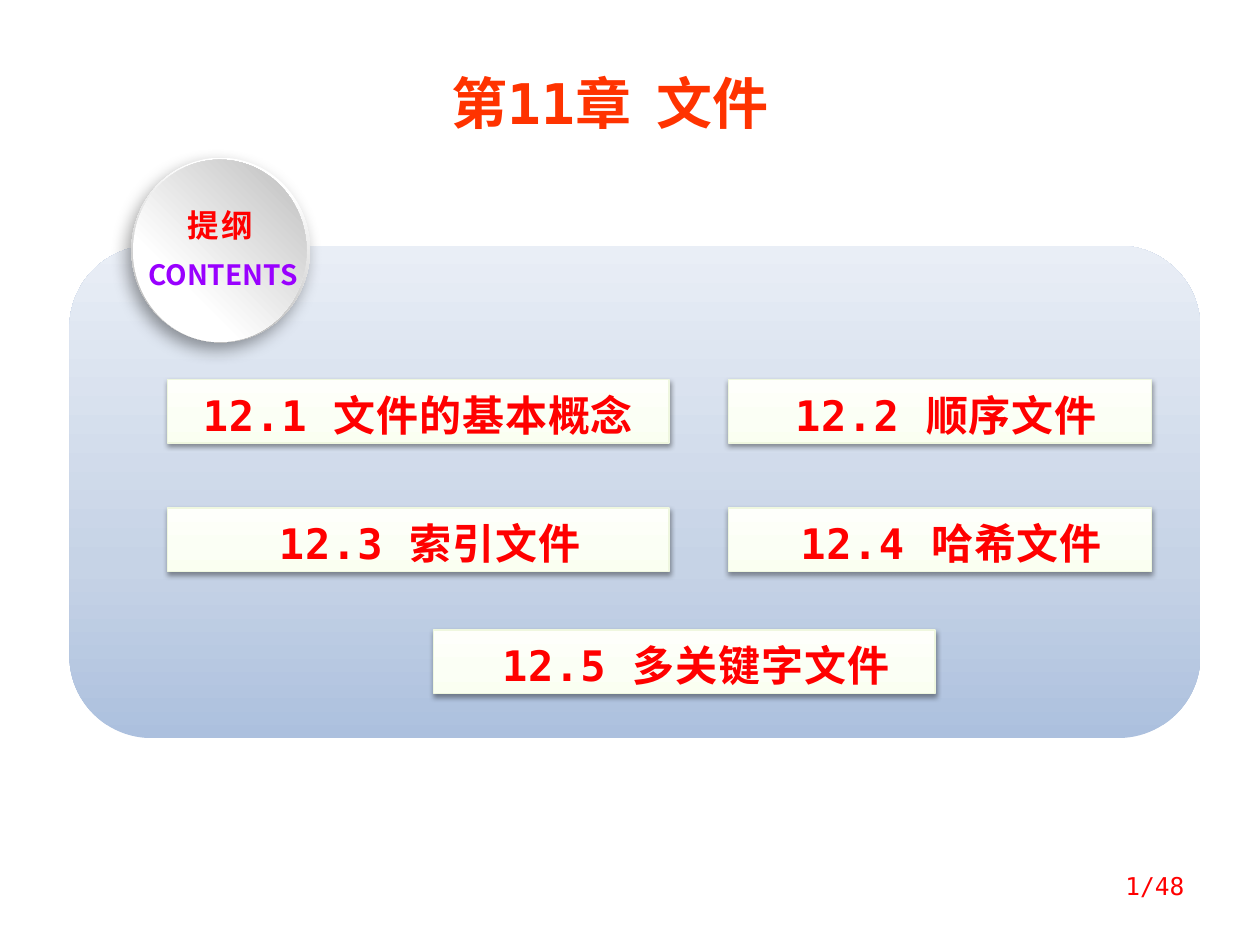
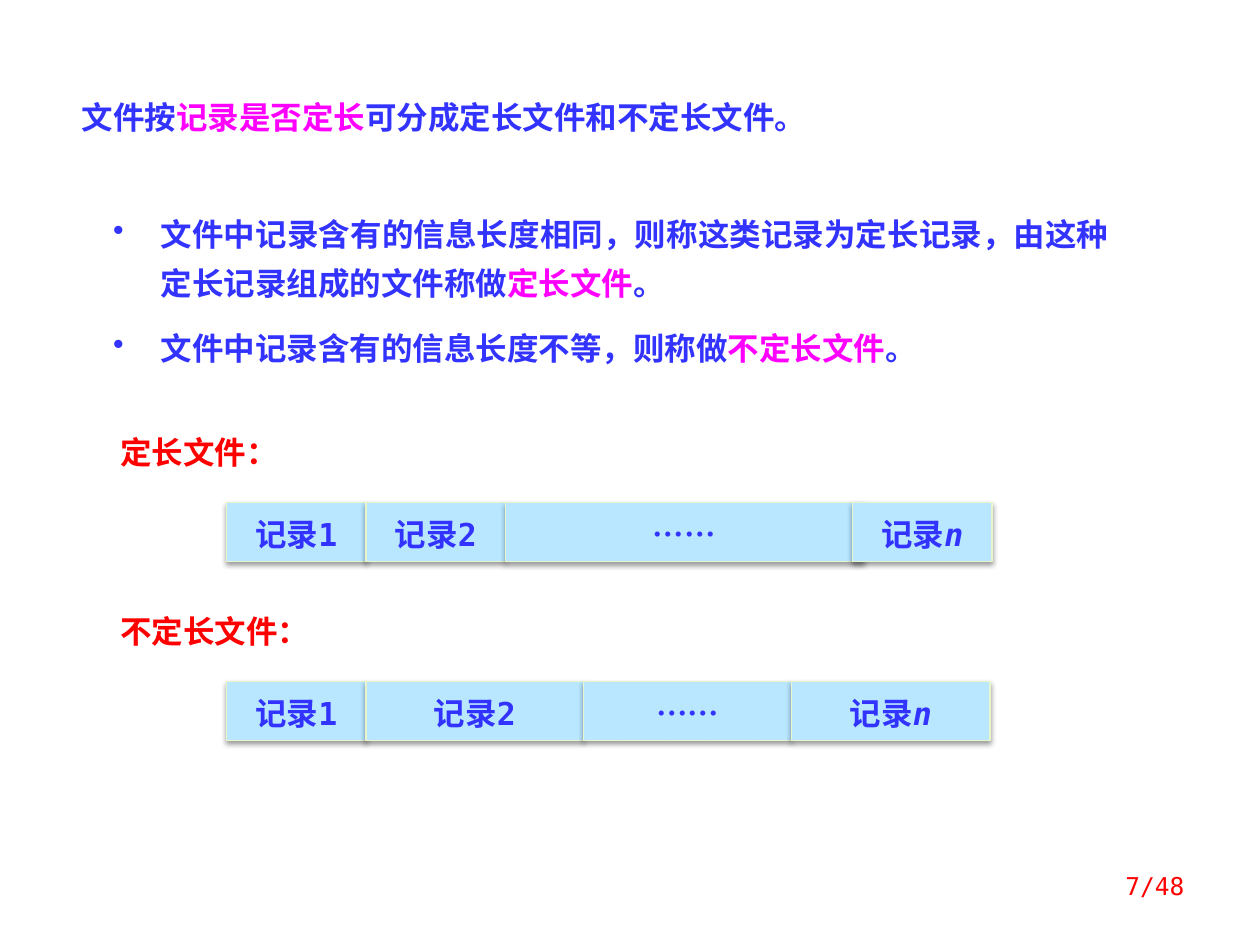
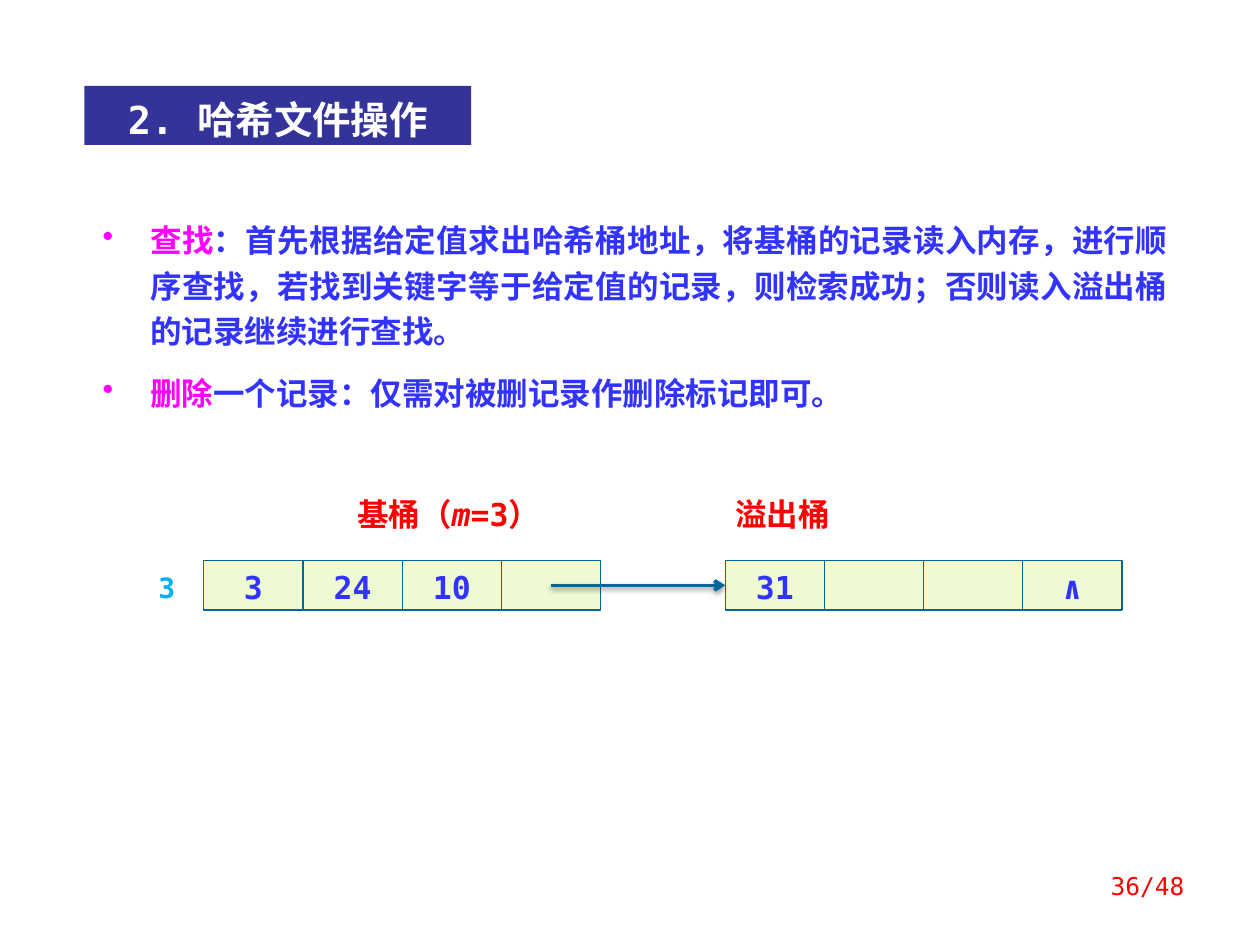
from dataclasses import dataclass
from typing import Optional

from pptx import Presentation
from pptx.dml.color import RGBColor
from pptx.enum.shapes import MSO_CONNECTOR, MSO_SHAPE
from pptx.enum.text import MSO_ANCHOR, MSO_AUTO_SIZE, PP_ALIGN
from pptx.oxml import parse_xml
from pptx.oxml.ns import nsdecls, qn
from pptx.util import Cm, Pt

# Shared colours and fonts
RED = RGBColor(0xFF, 0x00, 0x00)
ORANGE = RGBColor(0xFF, 0x33, 0x00)
BLUE = RGBColor(0x33, 0x33, 0xFF)
NAVY = RGBColor(0x33, 0x33, 0x99)
MAGENTA = RGBColor(0xFF, 0x00, 0xFF)
PURPLE = RGBColor(0x99, 0x00, 0xFF)
CYAN = RGBColor(0x00, 0xB0, 0xF0)
TEAL = RGBColor(0x00, 0x66, 0x99)
WHITE = RGBColor(0xFF, 0xFF, 0xFF)
BLACK = RGBColor(0x00, 0x00, 0x00)
RECORD_FILL = RGBColor(0xB8, 0xE7, 0xFF)
RECORD_LINE = RGBColor(0xE8, 0xF5, 0xCC)
BUCKET_FILL = RGBColor(0xED, 0xFA, 0xD2)
BAR_LINE = RGBColor(0xEF, 0xF7, 0xDF)
MONO = "DejaVu Sans Mono"
SANS = "Noto Sans CJK SC"
SANS_JP = "Noto Sans CJK JP"

TITLE_ONLY, BLANK = 5, 6
PAGE_COUNT = 48
LINE_FACTOR = 1.2
TOP_INSET = 0.2
SIDE_INSET = 0.25


@dataclass(frozen=True)
class Box:
    """Place of an element, in centimetres."""
    left: float
    top: float
    width: float
    height: float

    def lengths(self) -> tuple:
        return Cm(self.left), Cm(self.top), Cm(self.width), Cm(self.height)


@dataclass(frozen=True)
class Run:
    text: str
    color: RGBColor = BLUE
    size: float = 18
    font: str = MONO
    bold: bool = True
    italic: bool = False
    spacing: float = 0


@dataclass(frozen=True)
class Gradient:
    stops: tuple
    angle: int


@dataclass(frozen=True)
class Shadow:
    alpha: int = 38
    blur: float = 3.1
    distance: float = 1.6
    direction: int = 90


@dataclass(frozen=True)
class Style:
    fill: object = None
    line: Optional[RGBColor] = None
    shadow: Optional[Shadow] = None
    geometry: MSO_SHAPE = MSO_SHAPE.RECTANGLE


@dataclass(frozen=True)
class Cell:
    runs: tuple
    width: float
    overhang: float = 0


SOFT_SHADOW = Shadow()
PANEL = Style(Gradient(((0, "ACC0DE"), (35, "C6D3E6"), (100, "E9EEF6")), 270),
              geometry=MSO_SHAPE.ROUNDED_RECTANGLE)
BAR = Style(Gradient(((0, "FAFFF1"), (35, "FBFFF5"), (100, "FEFFFB")), 270),
            BAR_LINE, SOFT_SHADOW)
BADGE_RIM = Style(Gradient(((17, "FFFFFF"), (88, "B8B8B8")), 107),
                  shadow=Shadow(39, 10, 5, 123), geometry=MSO_SHAPE.OVAL)
BADGE_FACE = Style(Gradient(((29, "FFFFFF"), (98, "BFBFBF")), 315),
                   geometry=MSO_SHAPE.OVAL)
RECORD = Style(RECORD_FILL, RECORD_LINE, SOFT_SHADOW)
BUCKET = Style(BUCKET_FILL, TEAL)


# Fills and shadows
def paint(shape, fill) -> None:
    if fill is None:
        shape.fill.background()
    elif isinstance(fill, Gradient):
        shape.fill.gradient()
        stops = "".join(
            f'<a:gs pos="{position * 1000}"><a:srgbClr val="{color}"/></a:gs>'
            for position, color in fill.stops)
        gradient = parse_xml(
            f'<a:gradFill {nsdecls("a")} rotWithShape="1"><a:gsLst>{stops}</a:gsLst>'
            f'<a:lin ang="{fill.angle * 60000}" scaled="0"/></a:gradFill>')
        properties = shape._element.spPr
        properties.replace(properties.find(qn("a:gradFill")), gradient)
    else:
        shape.fill.solid()
        shape.fill.fore_color.rgb = fill


def cast_shadow(effects, shadow: Shadow) -> None:
    effects.append(parse_xml(
        f'<a:outerShdw {nsdecls("a")} blurRad="{Pt(shadow.blur)}" '
        f'dist="{Pt(shadow.distance)}" dir="{shadow.direction * 60000}" '
        f'algn="ctr" rotWithShape="0"><a:srgbClr val="{BLACK}">'
        f'<a:alpha val="{shadow.alpha * 1000}"/></a:srgbClr></a:outerShdw>'))


# Text
def add_run(paragraph, content: Run) -> None:
    run = paragraph.add_run()
    run.text = content.text
    font = run.font
    font.size, font.bold, font.italic = Pt(content.size), content.bold, content.italic
    font.color.rgb = content.color
    font.name = content.font
    properties = run._r.get_or_add_rPr()
    east_asian = SANS if content.font == MONO else content.font
    properties.append(parse_xml(f'<a:ea {nsdecls("a")} typeface="{east_asian}"/>'))
    if content.spacing:
        properties.set("spc", str(int(content.spacing * 100)))


def prepare_frame(shape, anchor=MSO_ANCHOR.TOP, left: float = SIDE_INSET,
                  right: float = SIDE_INSET, top: float = TOP_INSET):
    frame = shape.text_frame
    frame.word_wrap = True
    frame.auto_size = MSO_AUTO_SIZE.NONE
    frame.vertical_anchor = anchor
    frame.margin_left, frame.margin_right = Cm(left), Cm(right)
    frame.margin_top, frame.margin_bottom = Cm(top), Cm(0.13)
    return frame


def write_line(paragraph, runs: tuple, align=PP_ALIGN.CENTER,
               factor: float = LINE_FACTOR) -> None:
    paragraph.alignment = align
    paragraph.line_spacing = Pt(round(runs[0].size * factor, 1))
    for content in runs:
        add_run(paragraph, content)


def add_text(slide, box: Box, *runs: Run, align=PP_ALIGN.CENTER) -> None:
    frame = prepare_frame(slide.shapes.add_textbox(*box.lengths()))
    write_line(frame.paragraphs[0], runs, align)


def add_bullets(slide, box: Box, items: tuple, line_points: float) -> None:
    shape = add_box(slide, box, Style(WHITE))
    frame = prepare_frame(shape, left=0.5, top=0.35)
    for index, runs in enumerate(items):
        paragraph = frame.add_paragraph() if index else frame.paragraphs[0]
        properties = paragraph._p.get_or_add_pPr()
        properties.set("marL", str(Cm(0.96)))
        properties.set("indent", str(-Cm(0.96)))
        properties.append(parse_xml(f'<a:buChar {nsdecls("a")} char="•"/>'))
        if index:
            paragraph.space_before = Pt(9)
        write_line(paragraph, runs, PP_ALIGN.JUSTIFY, line_points / 18)


# Shapes
def add_box(slide, box: Box, style: Style):
    shape = slide.shapes.add_shape(style.geometry, *box.lengths())
    paint(shape, style.fill)
    if style.line is None:
        shape.line.fill.background()
    else:
        shape.line.color.rgb = style.line
        shape.line.width = Pt(0.75)
    shape.shadow.inherit = False
    if style.shadow:
        cast_shadow(shape._element.spPr.find(qn("a:effectLst")), style.shadow)
    return shape


def add_cells(slide, left: float, top: float, height: float,
              cells: tuple, style: Style) -> None:
    """Draw cells side by side from the left."""
    for cell in cells:
        box = Box(left, top, cell.width + cell.overhang, height)
        shape = add_box(slide, box, style)
        if cell.runs:
            frame = prepare_frame(shape, MSO_ANCHOR.MIDDLE)
            write_line(frame.paragraphs[0], cell.runs)
        left += cell.width


def add_arrow(slide, left: float, right: float, height: float) -> None:
    arrow = slide.shapes.add_connector(
        MSO_CONNECTOR.STRAIGHT, Cm(left), Cm(height), Cm(right), Cm(height))
    arrow.line.color.rgb = TEAL
    arrow.line.width = Pt(2)
    properties = arrow._element.spPr
    properties.find(qn("a:ln")).append(
        parse_xml(f'<a:tailEnd {nsdecls("a")} type="arrow"/>'))
    effects = parse_xml(f'<a:effectLst {nsdecls("a")}/>')
    properties.append(effects)
    cast_shadow(effects, SOFT_SHADOW)


# Slide frame: title and page number
def set_title(slide, box: Box, fill: RGBColor, *runs: Run) -> None:
    title = slide.shapes.title
    title.left, title.top, title.width, title.height = box.lengths()
    paint(title, fill)
    frame = prepare_frame(title, left=0, right=0)
    write_line(frame.paragraphs[0], runs)


def new_slide(presentation, layout: int, page: int):
    slide = presentation.slides.add_slide(presentation.slide_layouts[layout])
    add_text(slide, Box(18.21, 17.35, 5.92, 1.27),
             Run(f"{page}/{PAGE_COUNT}", RED, 14, bold=False), align=PP_ALIGN.RIGHT)
    return slide


def build_contents(presentation) -> None:
    slide = new_slide(presentation, TITLE_ONLY, 1)
    set_title(slide, Box(8.53, 1.19, 7.54, 1.63), WHITE,
              Run("第11章", ORANGE, 32), Run(" ", ORANGE, 32, spacing=7),
              Run("文件", ORANGE, 32))
    add_box(slide, Box(1.4, 4.95, 22.8, 9.93), PANEL)

    # Round badge
    add_box(slide, Box(2.65, 3.18, 3.6, 3.72), BADGE_RIM)
    add_box(slide, Box(2.68, 3.22, 3.5, 3.68), BADGE_FACE)
    add_text(slide, Box(2.44, 5, 4.11, 0.94), Run("CONTENTS", PURPLE, 16, SANS))
    add_text(slide, Box(3.4, 3.96, 2.1, 1.02), Run("提纲", RED, 18, SANS, spacing=1.5))

    # Section bars
    wide, narrow = 10.11, 8.53
    bars = (
        ("12.1 文件的基本概念", 3.38, 7.65, wide, PP_ALIGN.LEFT),
        ("12.2 顺序文件 ", 14.68, 7.65, narrow, PP_ALIGN.CENTER),
        ("12.3 索引文件", 3.38, 10.24, wide, PP_ALIGN.CENTER),
        ("12.4 哈希文件", 14.68, 10.24, narrow, PP_ALIGN.CENTER),
        ("12.5 多关键字文件", 8.74, 12.7, wide, PP_ALIGN.CENTER),
    )
    for text, left, top, width, align in bars:
        bar = add_box(slide, Box(left, top, width, 1.28), BAR)
        frame = prepare_frame(bar, left=0.71)
        write_line(frame.paragraphs[0], (Run(text, RED, 24, spacing=0.5),), align)


def build_record_lengths(presentation) -> None:
    slide = new_slide(presentation, BLANK, 7)
    add_text(slide, Box(1.4, 1.78, 17.86, 1.02),
             Run("文件按", font=SANS), Run("记录是否定长", MAGENTA, font=SANS_JP),
             Run("可分成定长文件和不定长文件。", font=SANS), align=PP_ALIGN.LEFT)
    add_bullets(slide, Box(1.78, 3.76, 20.83, 3.99), (
        (Run("文件中记录含有的信息长度相同，则称这类记录为定长记录，"
             "由这种定长记录组成的文件称做"),
         Run("定长文件", MAGENTA, font=SANS_JP), Run("。")),
        (Run("文件中记录含有的信息长度不等，则称做"),
         Run("不定长文件", MAGENTA, font=SANS_JP), Run("。")),
    ), 28)

    # Record strips
    first, second = (Run("记录1"),), (Run("记录2"),)
    middle = (Run("……", font=SANS),)
    last = (Run("记录"), Run("n", italic=True))
    strips = (
        ("定长文件：", 8.53,
         (Cell(first, 2.81), Cell(second, 2.81), Cell(middle, 7, 0.21), Cell(last, 2.81))),
        ("不定长文件：", 12.14,
         (Cell(first, 2.81), Cell(second, 4.39), Cell(middle, 4.19), Cell(last, 4))),
    )
    for label, top, cells in strips:
        add_text(slide, Box(2.18, top, 7.39, 1.02), Run(label, RED, font=SANS),
                 align=PP_ALIGN.LEFT)
        add_cells(slide, 4.57, top + 1.6, 1.19, cells, RECORD)


def build_hash_operations(presentation) -> None:
    slide = new_slide(presentation, TITLE_ONLY, 36)
    set_title(slide, Box(1.7, 1.73, 7.8, 1.19), NAVY, Run("2. 哈希文件操作", WHITE, 22))
    add_bullets(slide, Box(1.57, 3.96, 22.23, 4.67), (
        (Run("查找", MAGENTA),
         Run("：首先根据给定值求出哈希桶地址，将基桶的记录读入内存，进行顺序查找，"
             "若找到关键字等于给定值的记录，则检索成功；否则读入溢出桶的记录继续进行查找。")),
        (Run("删除", MAGENTA), Run("一个记录：仅需对被删记录作删除标记即可。")),
    ), 26)

    # Labels
    add_text(slide, Box(6.76, 9.78, 4.57, 1), Run("基桶（", RED),
             Run("m", RED, italic=True), Run("=3）", RED))
    add_text(slide, Box(14.38, 9.78, 2.79, 1), Run("溢出桶", RED))
    add_text(slide, Box(2.77, 11.3, 1.19, 0.9), Run("3", CYAN, 16))

    # Base bucket and overflow bucket
    top, height, width = 11.3, 1, 2
    base_left, overflow_left = 4.11, 14.62
    buckets = (
        (base_left, ("3", "24", "10", "")),
        (overflow_left, ("31", "", "", "∧")),
    )
    for left, values in buckets:
        cells = tuple(Cell((Run(value),) if value else (), width) for value in values)
        add_cells(slide, left, top, height, cells, BUCKET)
    add_arrow(slide, base_left + 3.5 * width, overflow_left, top + height / 2)


def main() -> None:
    presentation = Presentation()
    presentation.slide_width, presentation.slide_height = Cm(25.4), Cm(19.05)
    build_contents(presentation)
    build_record_lengths(presentation)
    build_hash_operations(presentation)
    presentation.save("out.pptx")


if __name__ == "__main__":
    main()
